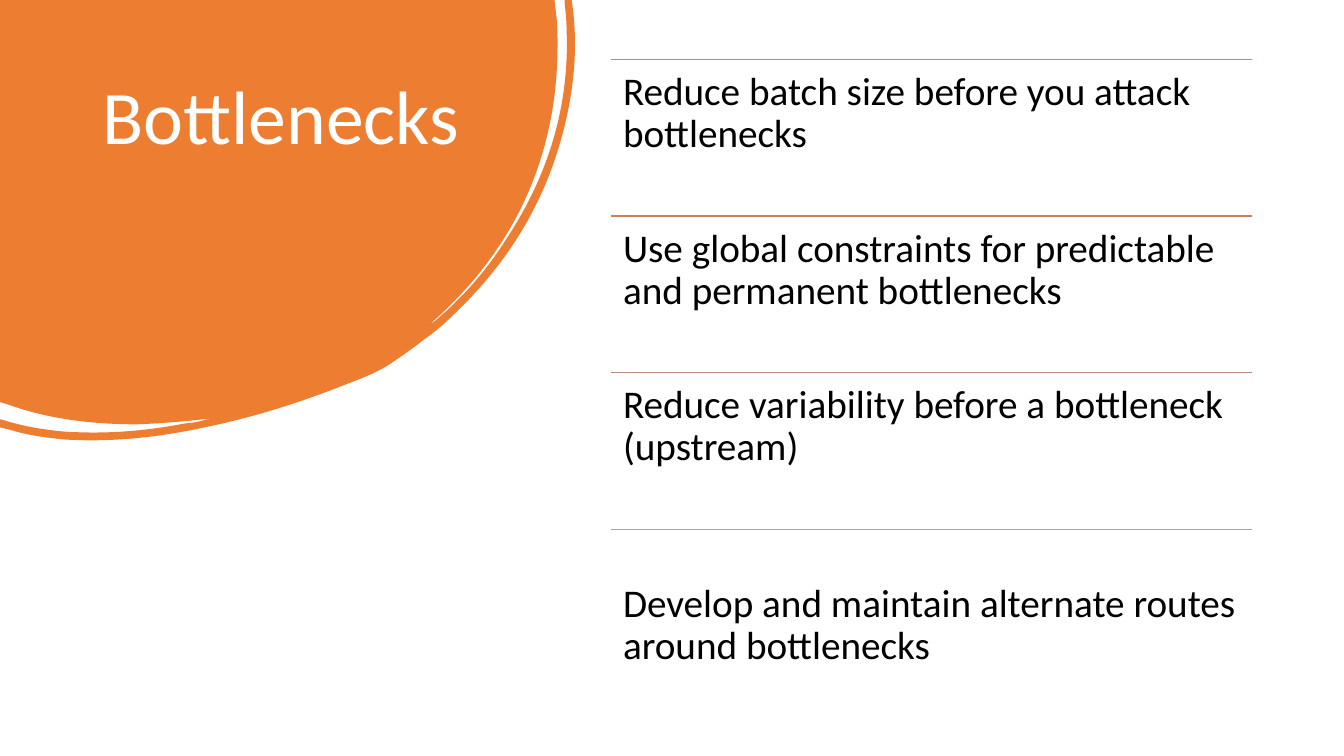
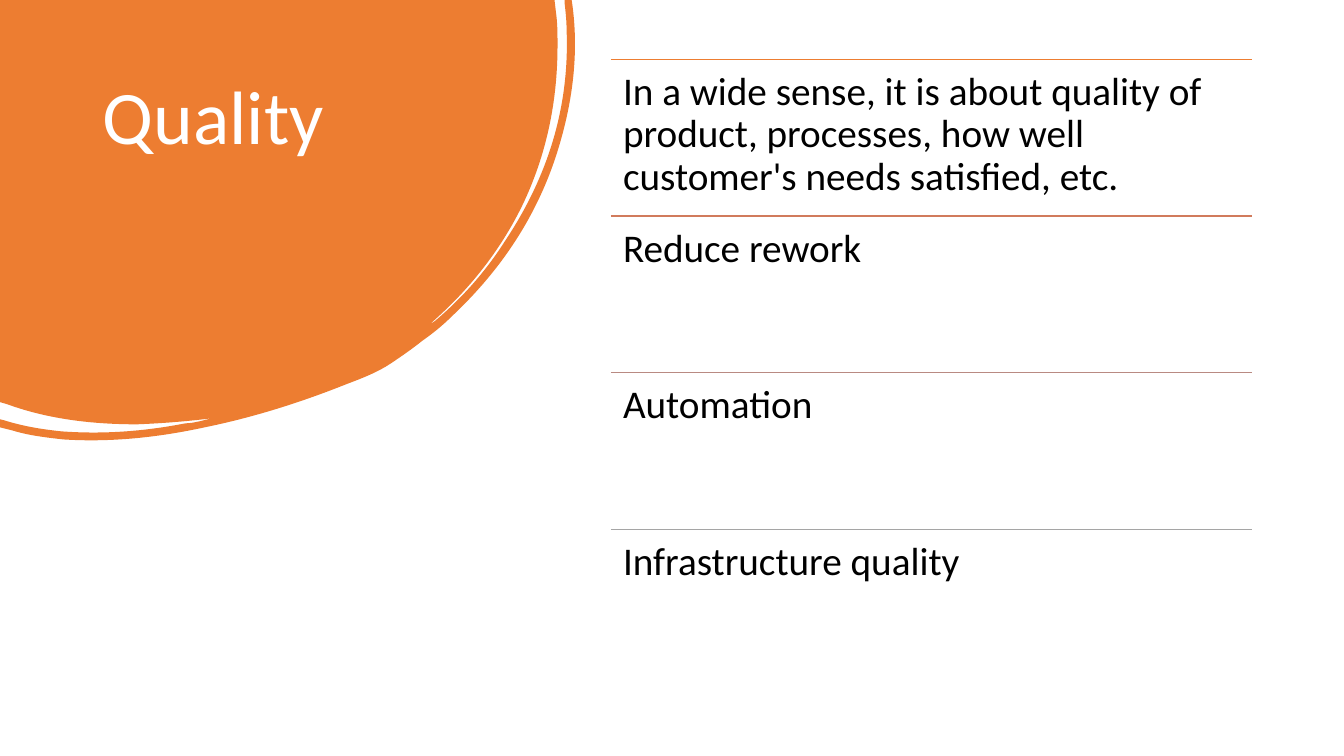
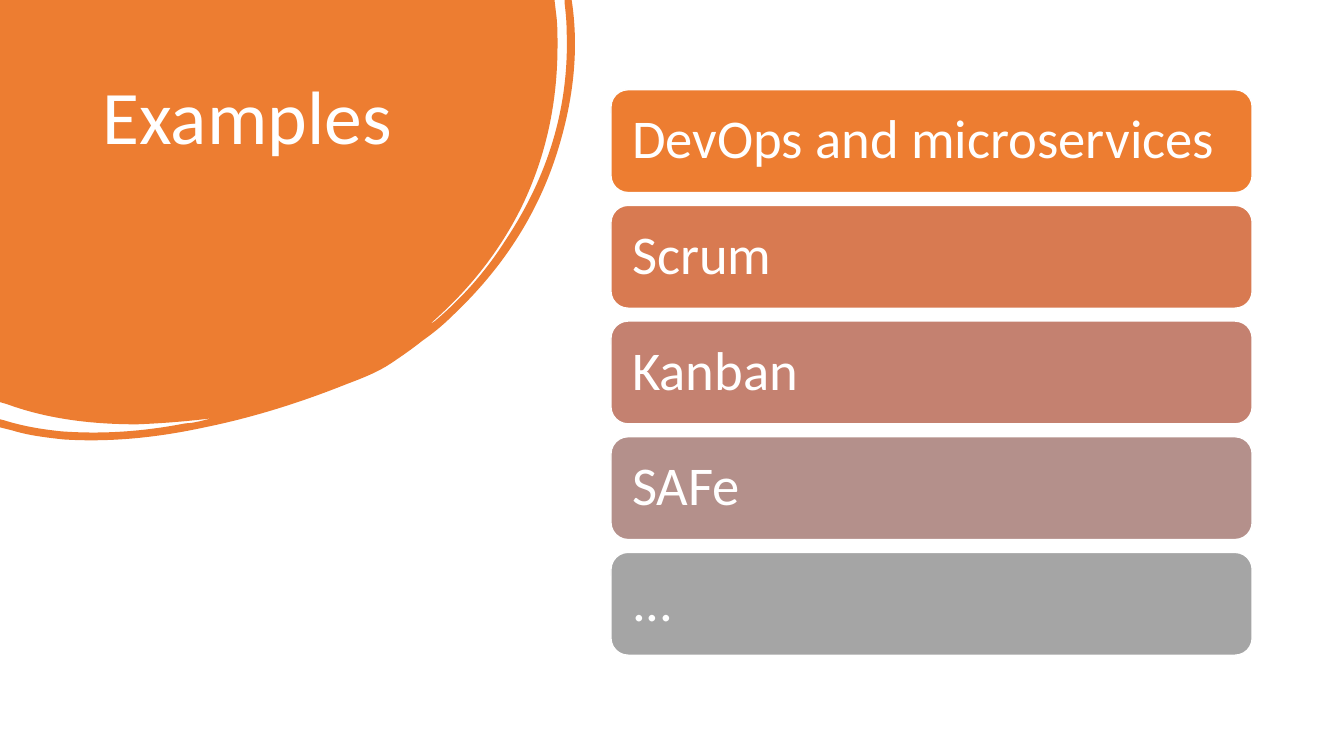
from lxml import etree
from pptx import Presentation
from pptx.dml.color import RGBColor
from pptx.enum import shapes, text
from pptx.oxml.ns import qn
from pptx.util import Inches, Pt

ORANGE, WHITE, BLACK = "ED7D31", "FFFFFF", "000000"
FONT = "Calibri"
LEFT, WIDTH = 6.06, 6.36

# Corner blob in inches: pairs are corners, sixes are Bezier curves
BLOB_SIZE = (Inches(5.71), Inches(4.37))
BLOB = [
    (5.5, 0), (5.52, 0.17),
    (5.53, 0.26, 5.53, 0.36, 5.53, 0.45), (5.53, 1.01, 5.42, 1.54, 5.18, 2.04),
    (4.96, 2.49, 4.65, 2.88, 4.27, 3.21), (4.29, 3.21, 4.3, 3.19, 4.32, 3.18),
    (4.59, 2.95, 4.82, 2.69, 5.01, 2.39), (5.43, 1.76, 5.65, 1.07, 5.62, 0.3),
    (5.62, 0.21, 5.61, 0.12, 5.6, 0.03), (5.6, 0), (5.67, 0), (5.68, 0.07),
    (5.74, 0.54, 5.68, 1.02, 5.53, 1.5), (5.33, 2.14, 4.97, 2.68, 4.48, 3.14),
    (4.39, 3.23, 4.29, 3.31, 4.19, 3.38), (4.09, 3.46, 3.99, 3.53, 3.87, 3.61),
    (3.75, 3.69, 3.6, 3.75, 3.44, 3.81), (2.99, 3.99, 2.52, 4.14, 2.03, 4.24),
    (1.57, 4.34, 1.1, 4.39, 0.63, 4.36), (0.45, 4.34, 0.28, 4.32, 0.12, 4.27),
    (0, 4.24), (0, 4.16), (0.04, 4.17),
    (0.23, 4.23, 0.42, 4.26, 0.61, 4.28), (1.03, 4.31, 1.43, 4.28, 1.84, 4.2),
    (1.89, 4.2, 1.93, 4.19, 1.98, 4.18), (2.02, 4.17, 2.06, 4.16, 2.1, 4.15),
    (1.86, 4.18, 1.61, 4.2, 1.36, 4.21), (0.92, 4.21, 0.48, 4.16, 0.07, 4.01),
    (0, 3.99),
]

ROW_COLORS = [ORANGE, "D17B5C", "B98A82", "A5A5A5"]
ROW_TOP, ROW_PITCH, ROW_INSET = 0.59, 4.66 / 3, 0.12
LINE_DROP = 0.42  # one line of row text

BAR_COLORS = [ORANGE, "D87A51", "C48170", "B4908B", "A5A5A5"]
BAR_TOP, BAR_PITCH, BAR_HEIGHT, BAR_INSET = 0.89, 4.59 / 4, 1.02, 0.16

# Title, title width, style, items as (text, lines to drop)
SLIDES = [
    ("Bottlenecks", 3.93, "rows", [
        ("Reduce batch size before you attack bottlenecks", 0),
        ("Use global constraints for predictable and permanent bottlenecks", 0),
        ("Reduce variability before a bottleneck (upstream)", 0),
        ("Develop and maintain alternate routes around bottlenecks", 1)]),
    ("Quality", 3.52, "rows", [
        ("In a wide sense, it is about quality of product, processes, "
         "how well customer's needs satisfied, etc.", 0),
        ("Reduce rework", 0),
        ("Automation", 0),
        ("Infrastructure quality", 0)]),
    ("Examples", 3.52, "bars", [
        ("DevOps and microservices", 0), ("Scrum", 0), ("Kanban", 0),
        ("SAFe", 0), ("...", 0)]),
]


def rgb(color):
    return RGBColor.from_string(color)


def write(sp, words, size, color, inset, anchor=text.MSO_ANCHOR.TOP, drop=0):
    tf = sp.text_frame
    tf.word_wrap = True
    tf.vertical_anchor = anchor
    tf.margin_left = tf.margin_right = tf.margin_bottom = Inches(inset)
    tf.margin_top = Inches(inset + drop)
    p = tf.paragraphs[0]
    p.text = words
    p.alignment = text.PP_ALIGN.LEFT
    p.line_spacing = 0.9
    p.font.name, p.font.size = FONT, Pt(size)
    p.font.color.rgb = rgb(color)


prs = Presentation()
prs.slide_width, prs.slide_height = Inches(13.33), Inches(7.5)

for title, title_width, style, items in SLIDES:
    s = prs.slides.add_slide(prs.slide_layouts[6])

    # Corner blob: corners and control points first, then join threes as curves
    builder = s.shapes.build_freeform(0, 0)
    for part in BLOB:
        builder.add_line_segments([(Inches(x), Inches(y))
                                   for x, y in zip(part[::2], part[1::2])], close=False)
    builder.add_line_segments([], close=True)
    blob = builder.convert_to_shape()
    outline = next(blob._element.iter(qn("a:path")))
    segments = iter(outline.findall(qn("a:lnTo")))
    for part in BLOB:
        segment = next(segments)
        if len(part) == 6:
            segment.tag = qn("a:cubicBezTo")
            for _ in range(2):
                extra = next(segments)
                segment.append(extra[0])
                outline.remove(extra)
    blob.width, blob.height = BLOB_SIZE
    outline.set("w", str(BLOB_SIZE[0]))
    outline.set("h", str(BLOB_SIZE[1]))
    blob.shadow.inherit = False
    blob.fill.solid()
    blob.fill.fore_color.rgb = rgb(ORANGE)
    blob.line.fill.background()

    # Title
    sp = s.shapes.add_textbox(Inches(0.92), Inches(0.74),
                              Inches(title_width), Inches(2.22))
    write(sp, title, 54, WHITE, 0.1)
    sp.text_frame.margin_top = sp.text_frame.margin_bottom = Inches(0.05)

    if style == "rows":
        # Ruled rows
        for i, ((words, drop), color) in enumerate(zip(items, ROW_COLORS)):
            y = Inches(ROW_TOP + i * ROW_PITCH)
            rule = s.shapes.add_connector(shapes.MSO_CONNECTOR.STRAIGHT,
                                          Inches(LEFT), y, Inches(LEFT + WIDTH), y)
            rule.line.color.rgb = rgb(color)
            rule.line.width = Pt(1)
            etree.SubElement(rule._element.spPr, qn("a:effectLst"))
            sp = s.shapes.add_textbox(Inches(LEFT), y, Inches(WIDTH), Inches(ROW_PITCH))
            write(sp, words, 28, BLACK, ROW_INSET, drop=drop * LINE_DROP)
    else:
        # Rounded bars
        for i, ((words, drop), color) in enumerate(zip(items, BAR_COLORS)):
            bar = s.shapes.add_shape(shapes.MSO_SHAPE.ROUNDED_RECTANGLE, Inches(LEFT),
                                     Inches(BAR_TOP + i * BAR_PITCH),
                                     Inches(WIDTH), Inches(BAR_HEIGHT))
            bar.shadow.inherit = False
            bar.fill.solid()
            bar.fill.fore_color.rgb = rgb(color)
            bar.line.color.rgb = rgb(WHITE)
            bar.line.width = Pt(1)
            write(bar, words, 39, WHITE, BAR_INSET, text.MSO_ANCHOR.MIDDLE)

prs.save("out.pptx")
